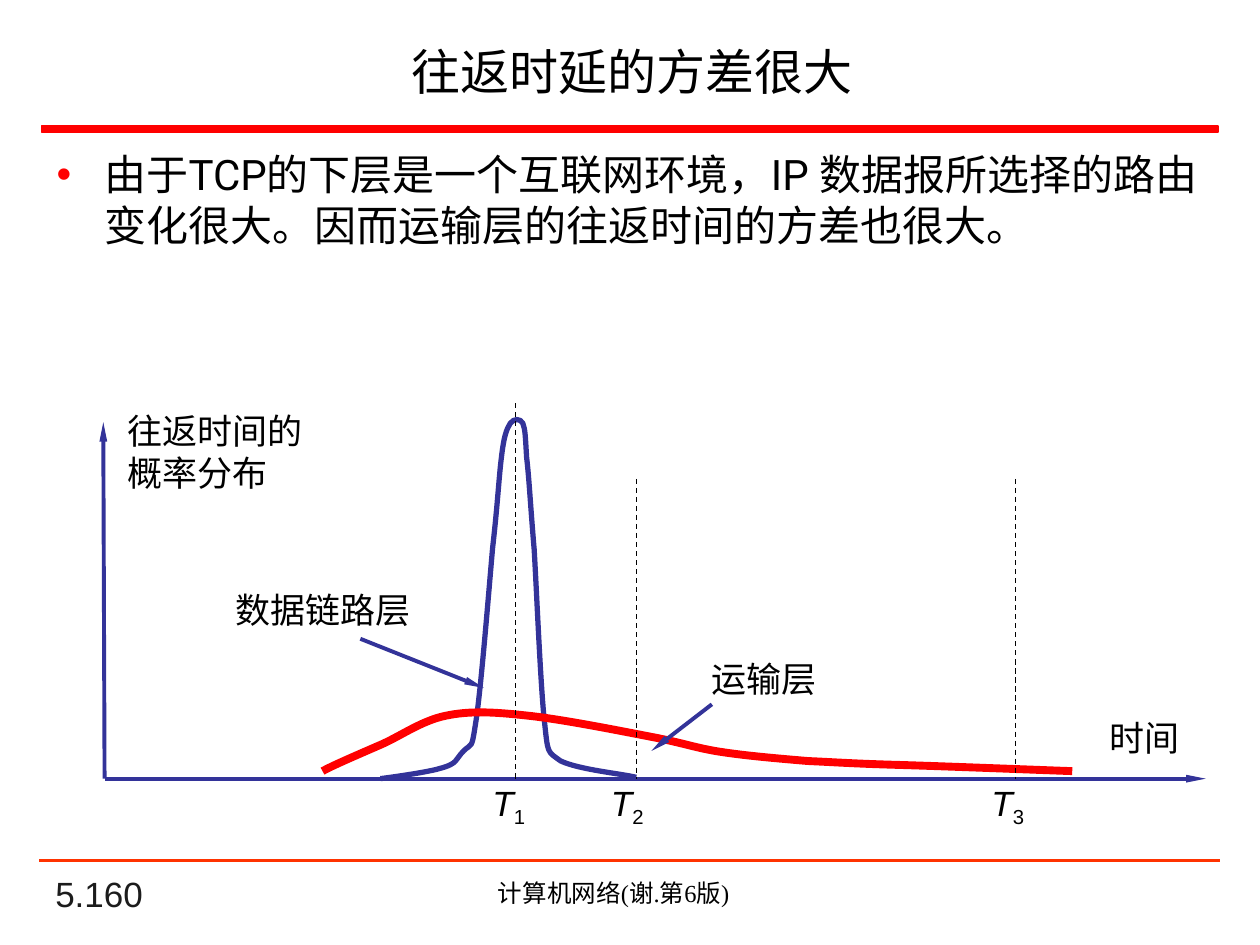
from dataclasses import dataclass

from lxml.etree import SubElement
from pptx import Presentation
from pptx.dml.color import RGBColor
from pptx.enum.dml import MSO_LINE
from pptx.enum.shapes import MSO_CONNECTOR, MSO_SHAPE
from pptx.enum.text import MSO_ANCHOR as Anchor, MSO_AUTO_SIZE as AutoSize, PP_ALIGN as Align
from pptx.oxml.ns import qn
from pptx.util import Pt

PX = 9144


@dataclass(frozen=True)
class Theme:
    """Colours, fonts and type sizes of the slide."""
    black: str = "000000"
    number: str = "1C1C1C"
    red: str = "FF0000"
    orange: str = "FF3300"
    blue: str = "333399"
    heading_font: str = "Roboto"
    label_font: str = "Arial"
    footer_font: str = "Times New Roman"
    title_size: int = 28
    body_size: int = 24
    label_size: int = 20
    footer_size: int = 14


THEME = Theme()

LINK_CURVE = [
    (219, 298),
    (227, 297), (256, 293), (266, 290),
    (281, 286), (278, 283), (285, 276),
    (292, 269), (291, 277), (295, 251),
    (299, 224), (305, 149), (308, 115),
    (312, 80), (313, 59), (315, 43),
    (317, 26), (319, 21), (322, 16),
    (325, 12), (330, 12), (332, 16),
    (334, 21), (334, 27), (335, 43),
    (337, 60), (338, 81), (341, 116),
    (343, 150), (346, 223), (349, 251),
    (352, 279), (351, 276), (362, 284),
    (377, 291), (410, 294), (422, 297),
]
TRANSPORT_CURVE = [
    (173, 292),
    (180, 288), (201, 279), (217, 272),
    (234, 265), (251, 252), (271, 248),
    (290, 244), (309, 245), (336, 248),
    (364, 251), (409, 260), (435, 265),
    (461, 270), (470, 274), (491, 277),
    (511, 280), (535, 282), (558, 284),
    (581, 285), (593, 286), (628, 287),
    (663, 288), (739, 291), (768, 292),
]


def emu(*lengths):
    """Turn px lengths into EMU."""
    return [round(length * PX) for length in lengths]


def apply(target, **values):
    """Set several attributes of one object."""
    for name, value in values.items():
        setattr(target, name, value)


def format_font(font, name, size, color):
    """Give a font its face, size and colour."""
    apply(font, name=name, size=Pt(size), bold=False)
    font.color.rgb = RGBColor.from_string(color)


def format_line(line, color, width):
    """Give a line its colour and width."""
    line.color.rgb = RGBColor.from_string(color)
    line.width = Pt(width)


def add_text(slide, box, lines, font=THEME.label_font, size=THEME.label_size,
             color=THEME.black, align=Align.LEFT, anchor=Anchor.TOP, wrap=False):
    """Add a text box with one paragraph per line and return its frame."""
    frame = slide.shapes.add_textbox(*emu(*box)).text_frame
    frame.text = "\n".join(lines)
    apply(frame, word_wrap=wrap, vertical_anchor=anchor,
          auto_size=AutoSize.NONE if wrap else AutoSize.SHAPE_TO_FIT_TEXT)
    for paragraph in frame.paragraphs:
        paragraph.alignment = align
        for run in paragraph.runs:
            format_font(run.font, font, size, color)
    return frame


def add_line(slide, start, end, color, width, dashed=False, arrow=False):
    """Add a straight line, dashed or with an arrowhead if asked."""
    connector = slide.shapes.add_connector(MSO_CONNECTOR.STRAIGHT, *emu(*start, *end))
    format_line(connector.line, color, width)
    if dashed:
        connector.line.dash_style = MSO_LINE.DASH
    properties = connector._element.spPr
    if arrow:
        SubElement(properties.find(qn("a:ln")), qn("a:tailEnd"), type="triangle", w="sm", len="lg")
    SubElement(properties, qn("a:effectLst"))


def bend_segments(shape):
    """Join every three straight segments into one cubic Bezier."""
    outline = next(shape._element.iter(qn("a:path")))
    segments = outline.findall(qn("a:lnTo"))
    for first in range(0, len(segments), 3):
        bend = SubElement(outline, qn("a:cubicBezTo"))
        for segment in segments[first:first + 3]:
            bend.append(segment[0])
            outline.remove(segment)


def add_curve(slide, origin, points, color, width):
    """Draw a smooth open curve relative to an origin."""
    left, top = origin
    start, *rest = [emu(left + x, top + y) for x, y in points]
    builder = slide.shapes.build_freeform(*start, scale=1.0)
    builder.add_line_segments(rest, close=False)
    shape = builder.convert_to_shape()
    bend_segments(shape)
    shape.fill.background()
    shape.shadow.inherit = False
    format_line(shape.line, color, width)


def fill_placeholder(shape, box, text, size, anchor):
    """Move a placeholder, write its text and return the paragraph."""
    apply(shape, **dict(zip(("left", "top", "width", "height"), emu(*box))))
    frame = shape.text_frame
    frame.text = text
    apply(frame, auto_size=AutoSize.NONE, vertical_anchor=anchor, word_wrap=True)
    paragraph = frame.paragraphs[0]
    format_font(paragraph.runs[0].font, THEME.heading_font, size, THEME.black)
    return paragraph


def add_header(slide, box):
    """Place the title and the red bar below it."""
    left, top, width, height = box
    title = fill_placeholder(slide.shapes.title, (left + 6, top, width - 9, height - 14),
                             "往返时延的方差很大", THEME.title_size, Anchor.MIDDLE)
    title.alignment = Align.CENTER
    bar = slide.shapes.add_shape(MSO_SHAPE.RECTANGLE, *emu(left, top + height - 5, width, 5))
    bar.fill.solid()
    bar.fill.fore_color.rgb = RGBColor.from_string(THEME.red)
    bar.shadow.inherit = False
    format_line(bar.line, THEME.red, 1)


def add_body(slide, box):
    """Place the bulleted statement."""
    text = ("由于TCP的下层是一个互联网环境，IP 数据报所选择的路由变化很大。"
            "因而运输层的往返时间的方差也很大。")
    paragraph = fill_placeholder(slide.placeholders[1], box, text, THEME.body_size, Anchor.TOP)
    indent, = emu(38)
    properties = paragraph._p.get_or_add_pPr()
    properties.set("marL", str(indent))
    properties.set("indent", str(-indent))
    SubElement(SubElement(properties, qn("a:buClr")), qn("a:srgbClr"), val=THEME.red)
    SubElement(properties, qn("a:buChar"), char="•")
    apply(paragraph, space_before=Pt(0), alignment=Align.LEFT)


def add_time_mark(slide, box, x, top, label_x, index):
    """Place one dashed time line with its subscripted T."""
    left, box_top, _, height = box
    base = box_top + height
    add_line(slide, (left + x, box_top + top), (left + x, base), THEME.black, 0.75, dashed=True)
    frame = add_text(slide, (left + label_x, base - 3, 47, 43), ["T"])
    paragraph = frame.paragraphs[0]
    paragraph.runs[0].font.italic = True
    subscript = paragraph.add_run()
    subscript.text = index
    format_font(subscript.font, THEME.label_font, THEME.label_size, THEME.black)
    subscript._r.get_or_add_rPr().set("baseline", "-25000")


def add_distribution(slide, box):
    """Draw the axes, both delay curves, time marks and labels."""
    left, top, width, height = box
    arrows = [((0, height), (width, height)), ((0, height), (-1, 15)),
              ((203, 187), (301, 226)), ((482, 239), (434, 276))]
    labels = [((8, 0, 159, 77), ["往返时间的", "概率分布"]), ((94, 142, 159, 43), ["数据链路层"]),
              ((472, 197, 105, 43), ["运输层"]), ((788, 244, 76, 43), ["时间"])]
    marks = [(326, 0, 298, "1"), (422, 60, 392, "2"), (723, 60, 694, "3")]
    add_curve(slide, (left, top), LINK_CURVE, THEME.blue, 3)
    add_curve(slide, (left, top), TRANSPORT_CURVE, THEME.red, 4.5)
    for ends in arrows:
        start, end = [(left + x, top + y) for x, y in ends]
        add_line(slide, start, end, THEME.blue, 2.25, arrow=True)
    for mark in marks:
        add_time_mark(slide, box, *mark)
    for (x, y, label_width, label_height), lines in labels:
        add_text(slide, (left + x, top + y, label_width, label_height), lines)


def add_footer(slide, box):
    """Place the rule, the page number and the book name."""
    left, top, width, _ = box
    add_line(slide, (left, top), (left + width, top), THEME.orange, 1.5)
    add_text(slide, (left + 3, top + 15, 208, 33), ["5.160"], color=THEME.number,
             anchor=Anchor.BOTTOM, wrap=True)
    add_text(slide, (left + 252, top + 9, 408, 34), ["计算机网络(谢.第6版)"], THEME.footer_font,
             THEME.footer_size, align=Align.CENTER, wrap=True)


def main():
    """Build and save the slide."""
    presentation = Presentation()
    apply(presentation, **dict(zip(("slide_width", "slide_height"), emu(1000, 750))))
    slide = presentation.slides.add_slide(presentation.slide_layouts[1])
    add_footer(slide, (31, 683, 937, 48))
    add_header(slide, (33, 22, 934, 83))
    add_body(slide, (35, 113, 928, 109))
    add_distribution(slide, (83, 320, 874, 298))
    presentation.save("out.pptx")


if __name__ == "__main__":
    main()
